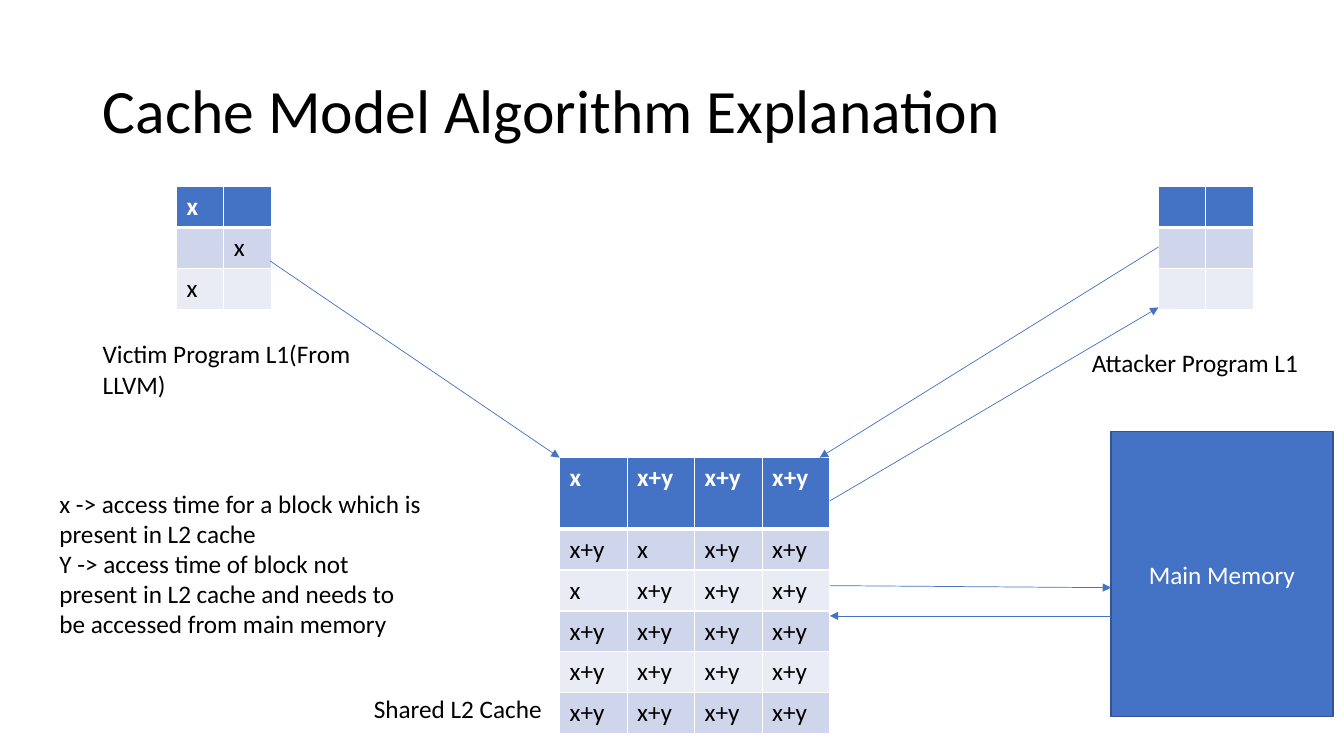
from pptx import Presentation
from pptx.util import Inches, Pt
from pptx.dml.color import RGBColor
from pptx.enum.shapes import MSO_CONNECTOR, MSO_SHAPE
from pptx.enum.text import MSO_ANCHOR, PP_ALIGN
from pptx.oxml.ns import qn
from lxml.etree import SubElement

hues = {
    "black": "000000", "white": "FFFFFF", "blue": "4472C4",
    "edge": "325491", "dark": "CFD5EA", "light": "E9EBF5",
}


def color(name):
    return RGBColor.from_string(hues[name])


def write(para, text, hue="black", size=18, bold=False):
    run = para.add_run()
    run.text = text
    font = run.font
    font.name, font.size, font.bold = "Calibri", Pt(size), bold
    font.color.rgb = color(hue)


deck = Presentation()
deck.slide_width, deck.slide_height = Inches(13.33), Inches(7.5)
slide = deck.slides.add_slide(deck.slide_layouts[5])
shapes = slide.shapes

title = shapes.title
title.left, title.top = Inches(0.92), Inches(0.4)
title.width, title.height = Inches(11.5), Inches(1.45)
title.text_frame.vertical_anchor = MSO_ANCHOR.MIDDLE
para = title.text_frame.paragraphs[0]
para.alignment, para.line_spacing = PP_ALIGN.LEFT, 0.9
write(para, "Cache Model Algorithm Explanation", size=44)

shared = [["x+y"] * 4 for _ in range(6)]
for row, col in [(0, 0), (1, 1), (2, 0)]:
    shared[row][col] = "x"
victim = [["x", ""], ["", "x"], ["x", ""]]
spare = [["", ""] for _ in range(3)]

for left, top, wide, head, data in [
    (5.55, 4.54, 0.67, 0.71, shared),
    (1.75, 1.85, 0.47, 0.4, victim),
    (11.49, 1.85, 0.47, 0.4, spare),
]:
    rows, cols = len(data), len(data[0])
    table = shapes.add_table(
        rows, cols, Inches(left), Inches(top),
        Inches(wide * cols), Inches(head + 0.4 * (rows - 1))).table
    for col in table.columns:
        col.width = Inches(wide)
    for row, texts in enumerate(data):
        table.rows[row].height = Inches(0.4 if row else head)
        for col, text in enumerate(texts):
            cell = table.cell(row, col)
            para = cell.text_frame.paragraphs[0]
            para.font.size = Pt(18)
            if text:
                write(para, text, "black" if row else "white", bold=row == 0)
            props = cell._tc.get_or_add_tcPr()
            for side in "LRTB":
                thick = (row, side) in [(0, "B"), (1, "T")]
                line = SubElement(props, qn("a:ln" + side), w=str(Pt(3 if thick else 1)))
                fill = SubElement(line, qn("a:solidFill"))
                SubElement(fill, qn("a:srgbClr"), val=hues["white"])
            cell.fill.solid()
            shade = "dark" if row % 2 else "light"
            cell.fill.fore_color.rgb = color(shade if row else "blue")

for left, top, wide, high, lines in [
    (0.92, 3.31, 2.79, 0.71, ["Victim Program L1(From LLVM)"]),
    (10.73, 3.4, 2.79, 0.4, ["Attacker Program L1"]),
    (3.61, 6.83, 2.79, 0.4, ["Shared L2 Cache"]),
    (0.49, 4.79, 3.81, 1.62, [
        "x -> access time for a block which is present in L2 cache",
        "Y -> access time of block not present in L2 cache and needs to "
        "be accessed from main memory"]),
]:
    frame = shapes.add_textbox(
        Inches(left), Inches(top), Inches(wide), Inches(high)).text_frame
    frame.word_wrap = True
    for spot, text in enumerate(lines):
        para = frame.add_paragraph() if spot else frame.paragraphs[0]
        write(para, text)

box = shapes.add_shape(
    MSO_SHAPE.RECTANGLE, Inches(11.02), Inches(4.28), Inches(2.2), Inches(2.83))
box.shadow.inherit = False
box.fill.solid()
box.fill.fore_color.rgb = color("blue")
box.line.color.rgb = color("edge")
box.line.width = Pt(1)
box.text_frame.vertical_anchor = MSO_ANCHOR.MIDDLE
para = box.text_frame.paragraphs[0]
para.alignment = PP_ALIGN.CENTER
write(para, "Main Memory", "white")

for ends in [
    (2.68, 2.59, 5.55, 4.54),
    (11.49, 2.45, 8.13, 4.54),
    (8.23, 4.97, 11.49, 3.05),
    (8.23, 5.81, 11.02, 5.83),
    (11.02, 6.11, 8.23, 6.11),
]:
    arrow = shapes.add_connector(MSO_CONNECTOR.STRAIGHT, *map(Inches, ends))
    arrow.line.color.rgb = color("blue")
    arrow.line.width = Pt(0.5)
    SubElement(arrow.line._get_or_add_ln(), qn("a:tailEnd"), type="triangle")
    SubElement(arrow._element.spPr, qn("a:effectLst"))

deck.save("out.pptx")
